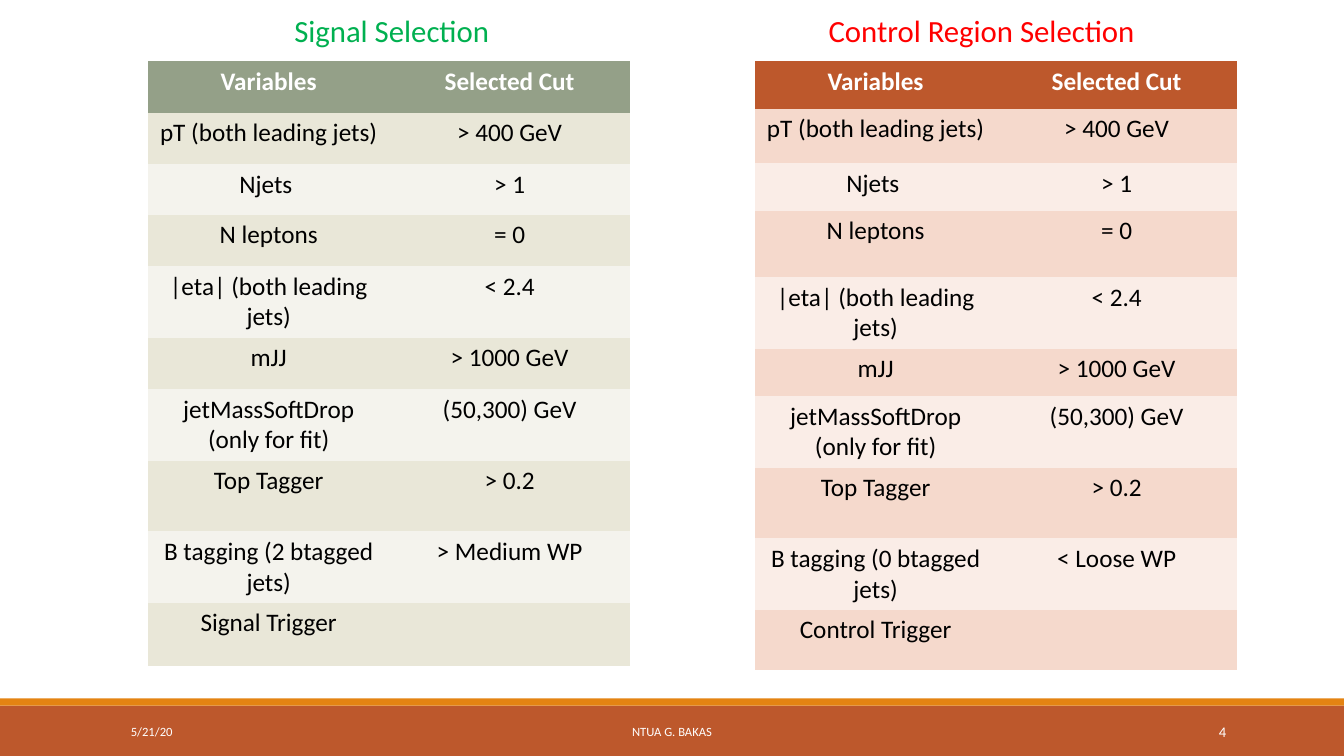
from dataclasses import dataclass

from pptx import Presentation, util as u
from pptx.dml.color import RGBColor
from pptx.enum import shapes, text

PX = 9144
FONT = "Calibri"
COLORS = {
    "white": "FFFFFF", "black": "000000",
    "green": "00B050", "red": "FF0000",
    "footer": "BD582C", "stripe": "E48312",
    "sage": "94A088", "sage_mid": "E9E7D8", "sage_pale": "F4F3ED",
    "rust": "BD582C", "rust_mid": "F5D9CC", "rust_pale": "FAEDE7",
}
NO_GRID_STYLE = "{2D5ABB26-0587-4C30-8999-92F81FD0307C}"
TABLE_TOP = 61
COLUMN_WIDTH = 239


@dataclass(frozen=True)
class Band:
    top: int
    height: int
    color: str


@dataclass(frozen=True)
class Label:
    words: str
    left: int
    top: int
    width: int
    height: int
    size: float
    color: str
    align: text.PP_ALIGN = text.PP_ALIGN.LEFT
    anchor: text.MSO_ANCHOR = text.MSO_ANCHOR.MIDDLE
    wrap: bool = True


@dataclass(frozen=True)
class Selection:
    left: int
    palette: str
    row_heights: tuple[int, ...]
    btag_count: int
    btag_cut: str
    trigger: str

    def rows(self) -> list[tuple[str, str]]:
        return [
            ("Variables", "Selected Cut"),
            ("pT (both leading jets) ", "> 400 GeV"),
            ("Njets ", "> 1"),
            ("N leptons", "= 0"),
            ("|eta| (both leading jets)", "< 2.4"),
            ("mJJ", "> 1000 GeV"),
            ("jetMassSoftDrop (only for fit)", "(50,300) GeV"),
            ("Top Tagger", "> 0.2"),
            (f"B tagging ({self.btag_count} btagged jets)", self.btag_cut),
            (self.trigger, ""),
        ]


BANDS = [Band(700, 50, "footer"), Band(693, 7, "stripe")]
LABELS = [
    Label("Signal Selection", 282, 7, 218, 47, 22, "green",
          anchor=text.MSO_ANCHOR.TOP, wrap=False),
    Label("Control Region Selection", 812, 7, 360, 47, 22, "red",
          anchor=text.MSO_ANCHOR.TOP),
    Label("5/21/20", 120, 706, 270, 40, 9, "white"),
    Label("NTUA G. BAKAS", 403, 706, 527, 40, 9, "white", text.PP_ALIGN.CENTER),
    Label("4", 1083, 706, 143, 40, 10.5, "white", text.PP_ALIGN.RIGHT),
]
SELECTIONS = [
    Selection(147, "sage", (51, 51, 50, 51, 70, 51, 70, 70, 70, 63),
              2, "> Medium WP", "Signal Trigger"),
    Selection(749, "rust", (47, 54, 47, 66, 70, 47, 70, 70, 70, 60),
              0, "< Loose WP", "Control Trigger"),
]


def rgb(name: str) -> RGBColor:
    return RGBColor.from_string(COLORS[name])


def format_paragraph(paragraph, size: float, color: str,
                     align: text.PP_ALIGN, bold: bool = False) -> None:
    paragraph.alignment = align
    for run in paragraph.runs:
        run.font.name = FONT
        run.font.size = u.Pt(size)
        run.font.bold = bold
        run.font.color.rgb = rgb(color)


def draw_band(slide, band: Band) -> None:
    bar = slide.shapes.add_shape(shapes.MSO_SHAPE.RECTANGLE, 0, band.top * PX,
                                 1333 * PX, band.height * PX)
    bar.shadow.inherit = False
    bar.fill.solid()
    bar.fill.fore_color.rgb = rgb(band.color)
    bar.line.fill.background()


def draw_label(slide, label: Label) -> None:
    frame = slide.shapes.add_textbox(label.left * PX, label.top * PX, label.width * PX,
                                     label.height * PX).text_frame
    frame.word_wrap = label.wrap
    frame.vertical_anchor = label.anchor
    frame.text = label.words
    format_paragraph(frame.paragraphs[0], label.size, label.color, label.align)


def draw_selection(slide, selection: Selection) -> None:
    rows = selection.rows()
    cuts = slide.shapes.add_table(
        len(rows), 2, selection.left * PX, TABLE_TOP * PX,
        2 * COLUMN_WIDTH * PX, sum(selection.row_heights) * PX).table
    cuts._tbl.tblPr[0].text = NO_GRID_STYLE
    cuts.horz_banding = False
    for column in cuts.columns:
        column.width = COLUMN_WIDTH * PX
    for index, (row, height) in enumerate(zip(rows, selection.row_heights)):
        cuts.rows[index].height = height * PX
        header = index == 0
        shade = "" if header else "_mid" if index % 2 else "_pale"
        for column, words in enumerate(row):
            cell = cuts.cell(index, column)
            cell.fill.solid()
            cell.fill.fore_color.rgb = rgb(selection.palette + shade)
            cell.text_frame.text = words
            format_paragraph(cell.text_frame.paragraphs[0], 18,
                             "white" if header else "black",
                             text.PP_ALIGN.CENTER, bold=header)


def main() -> None:
    deck = Presentation()
    deck.slide_width = 1333 * PX
    deck.slide_height = 750 * PX
    slide = deck.slides.add_slide(deck.slide_layouts[6])
    for band in BANDS:
        draw_band(slide, band)
    for selection in SELECTIONS:
        draw_selection(slide, selection)
    for label in LABELS:
        draw_label(slide, label)
    deck.save("out.pptx")


if __name__ == "__main__":
    main()
